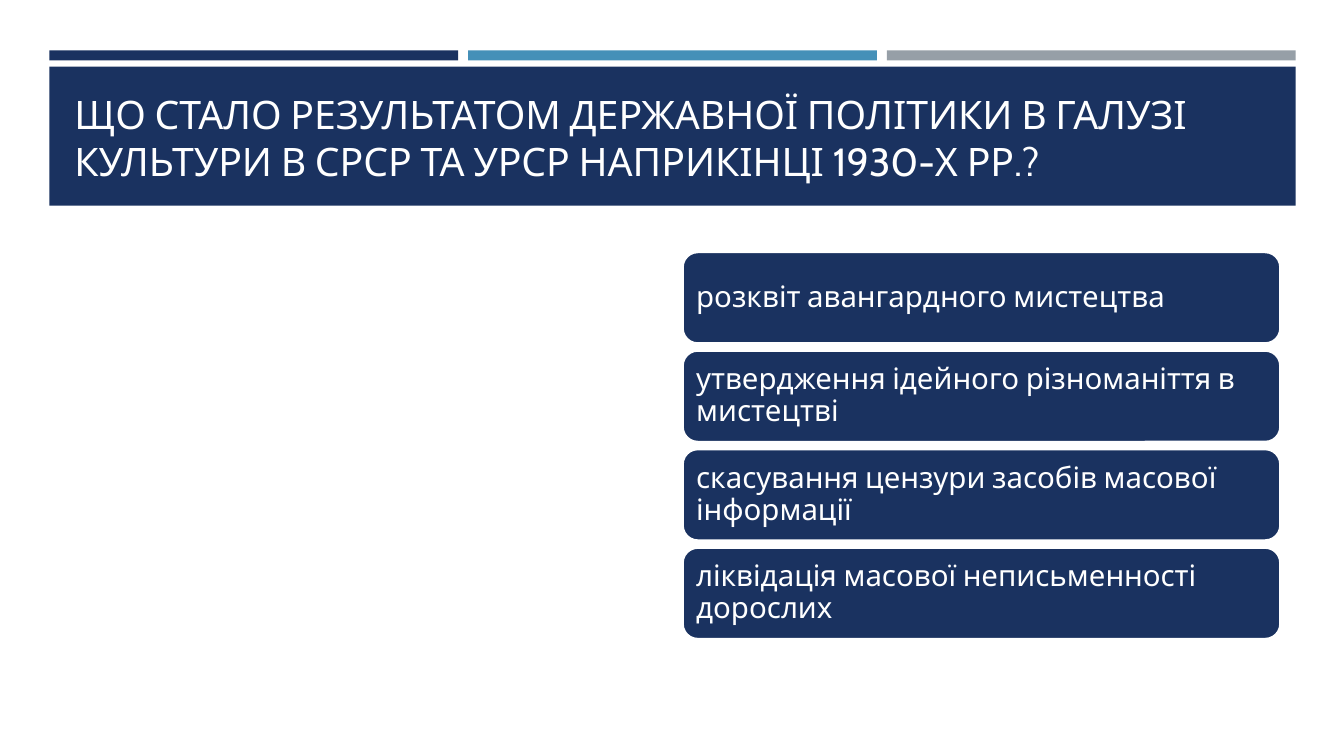
from dataclasses import dataclass

from pptx import Presentation
from pptx.dml.color import RGBColor
from pptx.enum.shapes import MSO_SHAPE
from pptx.enum.text import MSO_ANCHOR, PP_ALIGN
from pptx.shapes.autoshape import Shape
from pptx.slide import Slide
from pptx.util import Inches, Pt

RECTANGLE, ROUNDED = MSO_SHAPE.RECTANGLE, MSO_SHAPE.ROUNDED_RECTANGLE
BOTTOM, MIDDLE = MSO_ANCHOR.BOTTOM, MSO_ANCHOR.MIDDLE
LEFT = PP_ALIGN.LEFT

SLIDE_WIDTH, SLIDE_HEIGHT = 13.33, 7.5
NAVY, BLUE, GREY, WHITE = "1A3260", "4590B8", "969FA7", "FFFFFF"
FONT = "Cabin"

QUESTION = (
    "ЩО СТАЛО РЕЗУЛЬТАТОМ ДЕРЖАВНОЇ ПОЛІТИКИ В ГАЛУЗІ "
    "КУЛЬТУРИ В СРСР ТА УРСР НАПРИКІНЦІ 1930-Х РР.?"
)
ANSWERS = (
    "розквіт авангардного мистецтва",
    "утвердження ідейного різноманіття в мистецтві",
    "скасування цензури засобів масової інформації",
    "ліквідація масової неписьменності дорослих",
)


@dataclass(frozen=True)
class Area:
    left: float
    top: float
    width: float
    height: float

    def column(self, index: int, count: int, gap: float) -> "Area":
        width = (self.width - gap * (count - 1)) / count
        return Area(self.left + index * (width + gap), self.top, width, self.height)

    def row(self, index: int, count: int, gap: float) -> "Area":
        height = (self.height - gap * (count - 1)) / count
        return Area(self.left, self.top + index * (height + gap), self.width, height)

    def lengths(self) -> tuple[int, int, int, int]:
        return (Inches(self.left), Inches(self.top), Inches(self.width), Inches(self.height))


STRIPES = Area(0.49, 0.5, 12.36, 0.1)
BANNER = Area(0.49, 0.66, 12.36, 1.38)
QUESTION_AREA = Area(0.64, 0.8, 12.06, 1.08)
ANSWER_AREA = Area(6.77, 2.5, 5.93, 3.84)
STRIPE_GAP, ANSWER_GAP = 0.1, 0.07

QUESTION_FRAME = {"word_wrap": True, "vertical_anchor": BOTTOM}
ANSWER_FRAME = {
    "word_wrap": True,
    "vertical_anchor": MIDDLE,
    "margin_left": Inches(0.09),
    "margin_right": Inches(0.09),
    "margin_top": Inches(0.09),
    "margin_bottom": Inches(0.09),
}
QUESTION_PARAGRAPH = {"alignment": LEFT}
ANSWER_PARAGRAPH = {"alignment": LEFT, "line_spacing": 0.9}


def color(value: str) -> RGBColor:
    return RGBColor.from_string(value)


def apply(target: object, values: dict[str, object]) -> None:
    for name, value in values.items():
        setattr(target, name, value)


def add_panel(slide: Slide, area: Area, fill: str, outline: float = 0, form: int = RECTANGLE) -> Shape:
    panel = slide.shapes.add_shape(form, *area.lengths())
    panel.shadow.inherit = False
    panel.fill.solid()
    panel.fill.fore_color.rgb = color(fill)
    if outline:
        panel.line.color.rgb = color(WHITE)
        panel.line.width = Pt(outline)
    else:
        panel.line.fill.background()
    return panel


def write(
    holder: Shape, text: str, size: int, frame: dict[str, object], layout: dict[str, object]
) -> None:
    apply(holder.text_frame, frame)
    paragraph = holder.text_frame.paragraphs[0]
    apply(paragraph, layout)
    run = paragraph.add_run()
    run.text = text
    apply(run.font, {"name": FONT, "size": Pt(size)})
    run.font.color.rgb = color(WHITE)


def main() -> None:
    """Build the quiz slide with its question and four answers."""
    deck = Presentation()
    apply(deck, {"slide_width": Inches(SLIDE_WIDTH), "slide_height": Inches(SLIDE_HEIGHT)})
    slide = deck.slides.add_slide(deck.slide_layouts[6])

    stripe_fills = (NAVY, BLUE, GREY)
    for index, fill in enumerate(stripe_fills):
        add_panel(slide, STRIPES.column(index, len(stripe_fills), STRIPE_GAP), fill)

    add_panel(slide, BANNER, NAVY)
    question = slide.shapes.add_textbox(*QUESTION_AREA.lengths())
    write(question, QUESTION, 28, QUESTION_FRAME, QUESTION_PARAGRAPH)

    for index, text in enumerate(ANSWERS):
        area = ANSWER_AREA.row(index, len(ANSWERS), ANSWER_GAP)
        answer = add_panel(slide, area, NAVY, 1.75, ROUNDED)
        write(answer, text, 21, ANSWER_FRAME, ANSWER_PARAGRAPH)

    deck.save("out.pptx")


if __name__ == "__main__":
    main()
